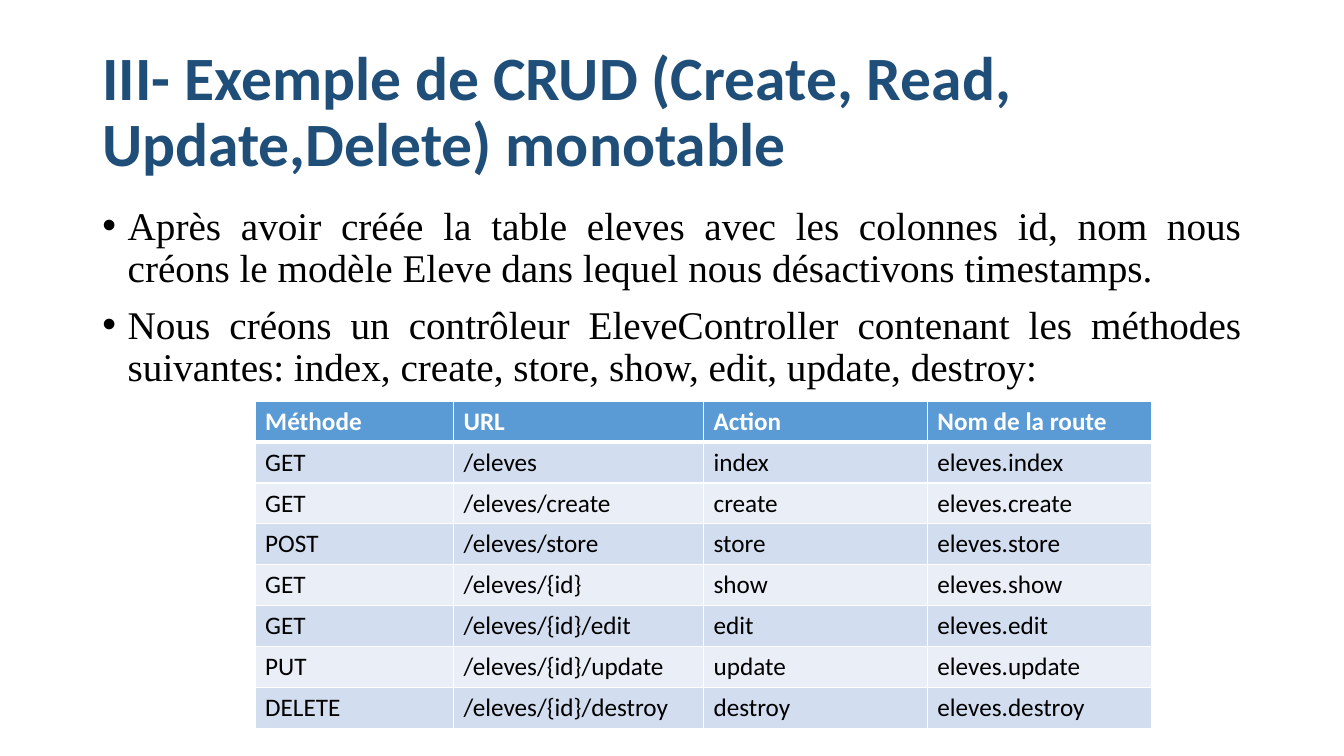
from dataclasses import dataclass

from lxml import etree
from pptx import Presentation
from pptx.dml.color import RGBColor
from pptx.enum.text import MSO_ANCHOR, PP_ALIGN
from pptx.oxml.ns import qn
from pptx.util import Cm, Pt

LEFT, JUSTIFY = PP_ALIGN.LEFT, PP_ALIGN.JUSTIFY
TOP, MIDDLE = MSO_ANCHOR.TOP, MSO_ANCHOR.MIDDLE


@dataclass(frozen=True)
class Theme:
    title: str = "1F4E79"
    text: str = "000000"
    white: str = "FFFFFF"
    header: str = "5B9BD5"
    bands: tuple = ("D2DEEF", "EAEFF7")
    title_size: int = 44
    body_size: int = 28
    table_size: int = 18
    sans: str = "Calibri"
    serif: str = "Times New Roman"


theme = Theme()


def write_text(frame, paragraphs, *, size, color, font, bold=False, align=LEFT,
               line_spacing=1.0, bullet=False):
    for index, text in enumerate(paragraphs):
        paragraph = frame.paragraphs[0] if index == 0 else frame.add_paragraph()
        paragraph.text = text
        paragraph.alignment = align
        paragraph.line_spacing = line_spacing
        paragraph.space_before = Pt(10 if index else 0)
        if bullet:
            properties = paragraph._p.get_or_add_pPr()
            properties.set("marL", str(Cm(0.64)))
            properties.set("indent", str(-Cm(0.64)))
            etree.SubElement(properties, qn("a:buFont"), typeface="Arial")
            etree.SubElement(properties, qn("a:buChar"), char="•")
        paragraph.font.size = Pt(size)
        paragraph.font.name = font
        paragraph.font.bold = bold
        paragraph.font.color.rgb = RGBColor.from_string(color)


def add_border(cell, side, width):
    line = etree.SubElement(cell._tc.get_or_add_tcPr(), qn(f"a:ln{side}"), w=str(Pt(width)))
    fill = etree.SubElement(line, qn("a:solidFill"))
    etree.SubElement(fill, qn("a:srgbClr"), val=theme.white)


presentation = Presentation()
presentation.slide_width = Cm(33.87)
presentation.slide_height = Cm(19.05)
slide = presentation.slides.add_slide(presentation.slide_layouts[6])

# Title and bullet text
title = ["III- Exemple de CRUD (Create, Read, Update,Delete) monotable"]
bullets = [
    "Après avoir créée la table eleves avec les colonnes id, nom nous créons "
    "le modèle Eleve dans lequel nous désactivons timestamps.",
    "Nous créons un contrôleur EleveController contenant les méthodes "
    "suivantes: index, create, store, show, edit, update, destroy:",
]
text_blocks = [
    (title, 1.02, 3.68, MIDDLE,
     dict(size=theme.title_size, color=theme.title, font=theme.sans, bold=True)),
    (bullets, 5.08, 13.69, TOP,
     dict(size=theme.body_size, color=theme.text, font=theme.serif,
          align=JUSTIFY, bullet=True)),
]
for paragraphs, top, height, anchor, style in text_blocks:
    text_box = slide.shapes.add_textbox(Cm(2.33), Cm(top), Cm(29.21), Cm(height))
    frame = text_box.text_frame
    frame.word_wrap = True
    frame.vertical_anchor = anchor
    write_text(frame, paragraphs, line_spacing=0.9, **style)

# Route table
routes = [
    ("Méthode", "URL", "Action", "Nom de la route"),
    ("GET", "/eleves", "index", "eleves.index"),
    ("GET", "/eleves/create", "create", "eleves.create"),
    ("POST", "/eleves/store", "store", "eleves.store"),
    ("GET", "/eleves/{id}", "show", "eleves.show"),
    ("GET", "/eleves/{id}/edit", "edit", "eleves.edit"),
    ("PUT", "/eleves/{id}/update", "update", "eleves.update"),
    ("DELETE", "/eleves/{id}/destroy", "destroy", "eleves.destroy"),
]
column_widths = [5.0, 6.3, 5.64, 5.64]
row_height = 1.03
table = slide.shapes.add_table(
    len(routes), len(column_widths), Cm(6.43), Cm(10.11),
    Cm(sum(column_widths)), Cm(row_height * len(routes))).table
for column, width in zip(table.columns, column_widths):
    column.width = Cm(width)
for row_index, route in enumerate(routes):
    table.rows[row_index].height = Cm(row_height)
    is_header = row_index == 0
    fill_color = theme.header if is_header else theme.bands[(row_index - 1) % 2]
    for column_index, text in enumerate(route):
        cell = table.cell(row_index, column_index)
        write_text(cell.text_frame, [text], size=theme.table_size, font=theme.sans,
                   color=theme.white if is_header else theme.text, bold=is_header)
        for side in "LRTB":
            thick = (side == "B" and is_header) or (side == "T" and row_index == 1)
            add_border(cell, side, 3 if thick else 1)
        cell.fill.solid()
        cell.fill.fore_color.rgb = RGBColor.from_string(fill_color)

presentation.save("out.pptx")
